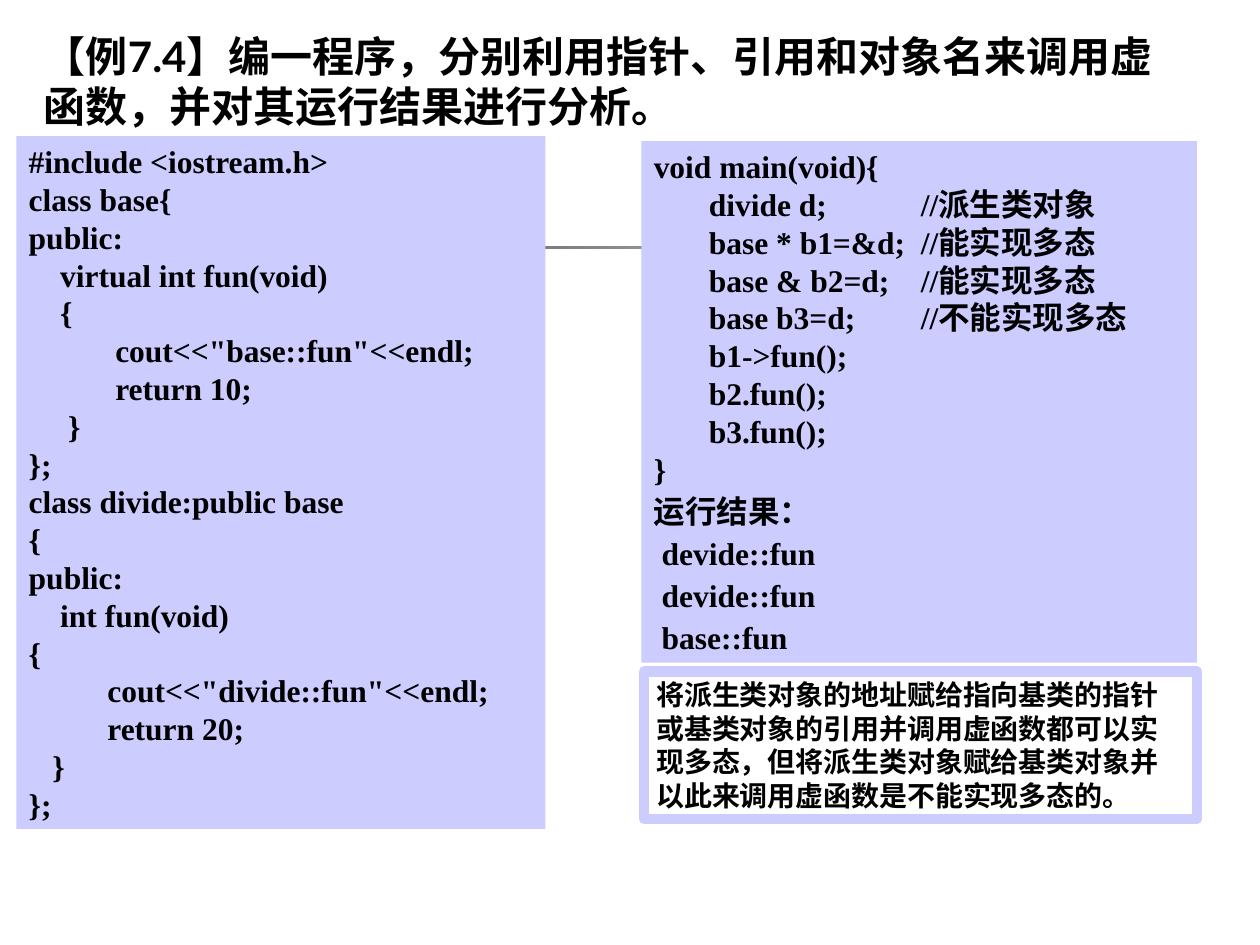
import pptx
import pptx.util
import pptx.dml.color
import pptx.enum.shapes
import pptx.enum.text
import lxml.etree as etree
from dataclasses import dataclass
from pptx.oxml.ns import qn


@dataclass(frozen=True)
class Theme:
    ink: str = "000000"
    panel: str = "CCCCFF"
    dark: str = "1C1C1C"
    paper: str = "FFFFFF"
    hans: str = "Noto Sans CJK SC"
    code: str = "Times New Roman"
    digit: str = "Lato"
    head: int = 24
    body: int = 18
    note: int = 16
    lead: float = 1.2    # line pitch per type size
    tight: float = 0.96  # line pitch of the result lines


LEFT = '''#include <iostream.h>
class base{
public:
    virtual int fun(void)
    {
           cout<<"base::fun"<<endl;
           return 10;
     }
};
class divide:public base
{
public:
    int fun(void)
{
          cout<<"divide::fun"<<endl;
          return 20;
   }
};'''

MAIN = '''void main(void){
       divide d;\t//派生类对象
       base * b1=&d;\t//能实现多态
       base & b2=d;\t//能实现多态
       base b3=d;\t//不能实现多态
       b1->fun();
       b2.fun();
       b3.fun();
}'''

RESULT = '''运行结果：
 devide::fun
 devide::fun
 base::fun'''

TITLE = (("【例", Theme.hans), ("7.4", Theme.digit),
         ("】编一程序，分别利用指针、引用和对象名来调用虚函数，并对其运行结果进行分析。", Theme.hans))
NOTE = ("将派生类对象的地址赋给指向基类的指针或基类对象的引用并调用虚函数都可以实现多态，"
        "但将派生类对象赋给基类对象并以此来调用虚函数是不能实现多态的。")


def tint(code):
    return pptx.dml.color.RGBColor.from_string(code)


class Page:
    """Places elements on a grid of 100 columns and 75 rows."""

    def __init__(self, deck, theme):
        self.theme = theme
        self.slide = deck.slides.add_slide(deck.slide_layouts[6])
        self.col = deck.slide_width / 100
        self.row = deck.slide_height / 75

    def place(self, x, y, w, h):
        return (round(x * self.col), round(y * self.row),
                round(w * self.col), round(h * self.row))

    def rect(self, *spot):
        kind = pptx.enum.shapes.MSO_SHAPE.RECTANGLE
        shape = self.slide.shapes.add_shape(kind, *self.place(*spot))
        shape.shadow.inherit = False
        shape.line.fill.background()
        return shape

    def rule(self, *spot):
        fill = self.rect(*spot).fill
        fill.gradient()
        fill.gradient_angle = 0
        for stop, code in zip(fill.gradient_stops, (self.theme.dark, self.theme.paper)):
            stop.color.rgb = tint(code)

    def panel(self, *spot):
        shape = self.rect(*spot)
        shape.fill.solid()
        shape.fill.fore_color.rgb = tint(self.theme.panel)
        return self.frame(shape)

    def border(self, *spot):
        shape = self.rect(*spot)
        shape.fill.background()
        shape.line.color.rgb = tint(self.theme.panel)
        shape.line.width = pptx.util.Pt(6)
        return self.frame(shape)

    def label(self, *spot):
        return self.frame(self.slide.shapes.add_textbox(*self.place(*spot)))

    def frame(self, shape):
        frame = shape.text_frame
        look = {"word_wrap": True, "vertical_anchor": pptx.enum.text.MSO_ANCHOR.TOP}
        for key, value in look.items():
            setattr(frame, key, value)
        return frame

    def para(self, frame, runs, size, lead=None, gap=0, stop=None):
        first = frame.paragraphs[0]
        para = frame.add_paragraph() if first.runs else first
        if stop:
            tabs = etree.SubElement(para._p.get_or_add_pPr(), qn("a:tabLst"))
            etree.SubElement(tabs, qn("a:tab"), pos=str(round(stop * self.col)), algn="l")
        look = {"alignment": pptx.enum.text.PP_ALIGN.LEFT,
                "line_spacing": pptx.util.Pt(size * (lead or self.theme.lead)),
                "space_before": pptx.util.Pt(gap)}
        for key, value in look.items():
            setattr(para, key, value)
        for text, face in runs:
            run = para.add_run()
            run.text = text
            style = {"name": face, "size": pptx.util.Pt(size), "bold": True}
            for key, value in style.items():
                setattr(run.font, key, value)
            run.font.color.rgb = tint(self.theme.ink)
            east = etree.SubElement(run._r.get_or_add_rPr(), qn("a:ea"))
            east.set("typeface", self.theme.hans)

    def lines(self, frame, text, **look):
        for line in text.splitlines():
            self.para(frame, [(line, self.theme.code)], self.theme.body, **look)


def main():
    deck = pptx.Presentation()
    deck.slide_width = pptx.util.Inches(10)
    deck.slide_height = pptx.util.Inches(7.5)
    theme = Theme()
    page = Page(deck, theme)

    # Rule behind the panels
    page.rule(4.8, 19.5, 90, 0.3)

    # Title
    page.para(page.label(2.5, 1.9, 92.5, 9.2), TITLE, theme.head)

    # Class code
    page.lines(page.panel(1.3, 10.8, 42, 55), LEFT)

    # Main program and its output
    right = page.panel(50.9, 11.2, 44.1, 41.4)
    page.lines(right, MAIN, stop=21.2)
    page.lines(right, RESULT, lead=theme.tight, gap=6.8)

    # Remark
    page.para(page.border(51.1, 53.3, 43.9, 11.7), [(NOTE, theme.hans)], theme.note)

    deck.save("out.pptx")


if __name__ == "__main__":
    main()
